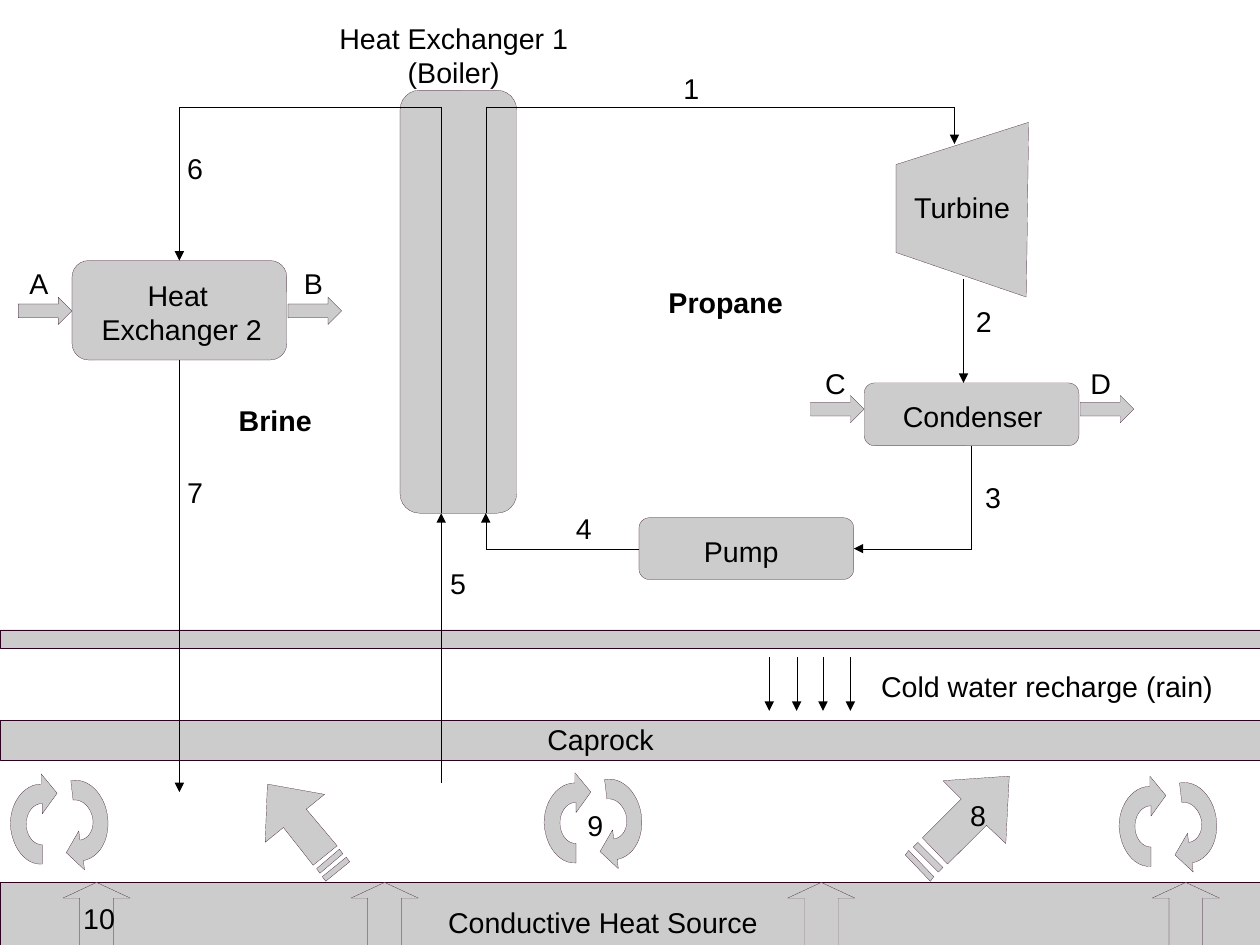
from lxml.etree import SubElement
from pptx import Presentation
from pptx.dml.color import RGBColor
from pptx.enum.shapes import MSO_CONNECTOR, MSO_SHAPE
from pptx.enum.text import MSO_AUTO_SIZE, PP_ALIGN
from pptx.oxml.ns import qn
from pptx.util import Cm, Inches, Pt

COLORS = {"fill": "CCCCCC", "edge": "2C001E", "ink": "000000"}
SIZE = (Cm(28), Cm(21))
FONT = "Arial"
HAIR = Pt(0.1)

UNITS = {
    "boiler": (3.5, 0.79, 1.02, 3.7),
    "condenser": (7.56, 3.35, 1.88, 0.55),
    "pump": (5.59, 4.53, 1.88, 0.54),
    "heater": (0.63, 2.28, 1.88, 0.87),
}
LAYERS = [(5.51, 0.16), (6.3, 0.35), (7.72, 0.55)]
RISERS = [0.55, 3.07, 6.89, 10.08]
FLOWS = [(0.16, 2.6), (2.52, 2.6), (7.09, 3.46), (9.45, 3.46)]
TURBINE = [[(9, 1.07), (8.98, 2.6), (7.84, 2.21), (7.84, 1.44)]]
PLUMES = [
    [
        [(8.25, 6.83), (8.83, 6.79), (8.8, 7.38), (8.63, 7.22),
         (8.29, 7.56), (8.07, 7.33), (8.41, 6.99)],
        [(7.92, 7.48), (8.14, 7.71), (8.17, 7.67), (7.95, 7.44)],
        [(7.99, 7.41), (8.21, 7.63), (8.25, 7.59), (8.03, 7.37)],
    ],
    [
        [(2.32, 7.37), (2.34, 6.86), (2.84, 6.95), (2.68, 7.08),
         (2.95, 7.4), (2.74, 7.57), (2.48, 7.24)],
        [(2.85, 7.71), (3.06, 7.54), (3.03, 7.5), (2.82, 7.67)],
        [(2.8, 7.64), (3, 7.47), (2.97, 7.43), (2.77, 7.6)],
    ],
]
SWIRL = [
    [(5.04, 7.02), (4.96, 7.02, 4.9, 7.1, 4.9, 7.2),
     (4.9, 7.3, 4.96, 7.38, 5.04, 7.38), (5.04, 7.55),
     (4.89, 7.56, 4.77, 7.4, 4.76, 7.2), (4.76, 7.01, 4.88, 6.85, 5.03, 6.85),
     (5.03, 6.76), (5.17, 6.93), (5.04, 7.11)],
    [(5.37, 7.34), (5.45, 7.33, 5.5, 7.24, 5.48, 7.14),
     (5.46, 7.05, 5.39, 6.98, 5.31, 6.99), (5.29, 6.82),
     (5.44, 6.79, 5.58, 6.93, 5.61, 7.12), (5.64, 7.32, 5.55, 7.49, 5.4, 7.52),
     (5.41, 7.6), (5.25, 7.45), (5.36, 7.26)],
]
SHIFTS = [(0, 0), (5.03, 0.03), (-4.67, 0.01)]

PIPES = [
    ((5.59, 4.8), (4.25, 4.8), False, ("pump", 1), None),
    ((4.25, 4.8), (4.25, 4.49), True, None, None),
    ((4.25, 4.49), (4.25, 0.94), False, None, None),
    ((4.25, 0.94), (8.35, 0.94), False, None, None),
    ((8.35, 0.94), (8.35, 1.26), True, None, None),
    ((8.43, 2.44), (8.43, 3.35), True, None, None),
    ((8.5, 3.9), (8.5, 4.8), False, ("condenser", 2), None),
    ((8.5, 4.8), (7.47, 4.8), True, None, ("pump", 3)),
    ((3.86, 6.85), (3.86, 4.49), True, None, None),
    ((3.86, 4.49), (3.86, 0.94), False, None, None),
    ((3.86, 0.94), (1.57, 0.94), False, None, None),
    ((1.57, 0.94), (1.57, 2.28), True, None, ("heater", 0)),
    ((1.57, 3.15), (1.57, 6.93), True, ("heater", 2), None),
]
RAIN = [((x, 5.75), (x, 6.22), True, None, None)
        for x in (6.73, 6.97, 7.2, 7.44)]

LABELS = [
    ("Turbine", 7.9, 1.61, 1.04), ("Pump", 6.06, 4.62, 0.85),
    ("Condenser", 7.8, 3.44, 1.42), ("Caprock", 4.69, 6.27, 1.13),
    ("Cold water recharge (rain)", 7.61, 5.8, 3.14),
    ("1", 5.88, 0.57, 0.34), ("2", 8.44, 2.61, 0.34),
    ("3", 8.52, 4.15, 0.34), ("4", 4.94, 4.42, 0.34),
    ("5", 3.84, 4.9, 0.34), ("6", 1.54, 1.27, 0.34),
    ("7", 1.54, 4.11, 0.34), ("8", 8.39, 6.93, 0.34),
    ("9", 5.04, 7.02, 0.34),
    ("A", 0.16, 2.28, 0.36), ("B", 2.56, 2.28, 0.36),
    ("C", 7.12, 3.15, 0.38), ("D", 9.44, 3.15, 0.38),
]
TITLES = [
    ("Heat Exchanger 1\n(Boiler)", 2.86, 0.13, 2.22),
    ("Heat \nExchanger 2", 0.77, 2.38, 1.64),
]
WIDE = [("10", 0.63, 7.83, 0.63)]
SOURCE = [("Conductive Heat Source", 3.78, 7.87, 2.99)]
FLUIDS = [("Propane", 5.75, 2.44, 1.51), ("Brine", 1.99, 3.48, 1.51)]


def color(name):
    return RGBColor.from_string(COLORS[name])


def paint(shape):
    shape.shadow.inherit = False
    shape.fill.solid()
    shape.fill.fore_color.rgb = color("fill")
    shape.line.color.rgb = color("edge")
    shape.line.width = HAIR
    return shape


def block(shapes, kind, box, *adjust):
    shape = paint(shapes.add_shape(kind, *map(Inches, box)))
    for i, value in enumerate(adjust):
        shape.adjustments[i] = value
    return shape


def flatten(path, steps=12):
    points = []
    for item in path:
        if len(item) == 2:
            points.append(item)
            continue
        ends = [points[-1], item[:2], item[2:4], item[4:]]
        for i in range(1, steps + 1):
            t = i / steps
            mix = [(1 - t) ** 3, 3 * t * (1 - t) ** 2, 3 * t * t * (1 - t), t ** 3]
            points.append(tuple(sum(m * p[k] for m, p in zip(mix, ends))
                                for k in (0, 1)))
    return points


def outline(shapes, paths, shift=(0, 0)):
    rings = [[(Inches(x + shift[0]), Inches(y + shift[1])) for x, y in flatten(path)]
             for path in paths]
    form = shapes.build_freeform(*rings[0][0])
    for i, ring in enumerate(rings):
        if i:
            form.move_to(*ring[0])
        form.add_line_segments(ring[1:], close=True)
    paint(form.convert_to_shape())


def pipe(shapes, units, start, end, arrow, tail, head):
    line = shapes.add_connector(MSO_CONNECTOR.STRAIGHT, *map(Inches, start + end))
    if tail:
        line.begin_connect(units[tail[0]], tail[1])
    if head:
        line.end_connect(units[head[0]], head[1])
    line.line.color.rgb = color("ink")
    line.line.width = HAIR
    if arrow:
        SubElement(line.line._get_or_add_ln(), qn("a:tailEnd"), type="triangle")
    SubElement(line._element.spPr, qn("a:effectLst"))


def label(shapes, item, wrap=False, bold=False, align=PP_ALIGN.LEFT):
    text, x, y, w = item
    high = 0.38 + 0.28 * text.count("\n")
    frame = shapes.add_textbox(*map(Inches, (x, y, w, high))).text_frame
    frame.word_wrap = wrap
    frame.auto_size = MSO_AUTO_SIZE.SHAPE_TO_FIT_TEXT
    frame.text = text
    for para in frame.paragraphs:
        para.alignment = align
        for run in para.runs:
            run.font.name = FONT
            run.font.size = Pt(18)
            run.font.bold = bold
            run.font.color.rgb = color("ink")


def main():
    """Build the geothermal plant diagram and save it."""
    deck = Presentation()
    deck.slide_width, deck.slide_height = SIZE
    shapes = deck.slides.add_slide(deck.slide_layouts[6]).shapes

    units = {name: block(shapes, MSO_SHAPE.ROUNDED_RECTANGLE, box, 0.167)
             for name, box in UNITS.items()}
    for y, high in LAYERS:
        block(shapes, MSO_SHAPE.RECTANGLE, (0, y, SIZE[0].inches, high))
    for x in RISERS:
        block(shapes, MSO_SHAPE.UP_ARROW, (x, 7.72, 0.59, 0.55), 0.5, 0.25)
    for x, y in FLOWS:
        block(shapes, MSO_SHAPE.RIGHT_ARROW, (x, y, 0.47, 0.24), 0.5, 0.5)
    for paths in [TURBINE] + PLUMES:
        outline(shapes, paths)
    for shift in SHIFTS:
        for path in SWIRL:
            outline(shapes, [path], shift)
    for item in PIPES + RAIN:
        pipe(shapes, units, *item)

    for item in LABELS:
        label(shapes, item)
    for item in TITLES:
        label(shapes, item, align=PP_ALIGN.CENTER)
    for item in WIDE:
        label(shapes, item, wrap=True)
    for item in SOURCE:
        label(shapes, item, wrap=True, align=PP_ALIGN.CENTER)
    for item in FLUIDS:
        label(shapes, item, wrap=True, bold=True)
    deck.save("out.pptx")


if __name__ == "__main__":
    main()
